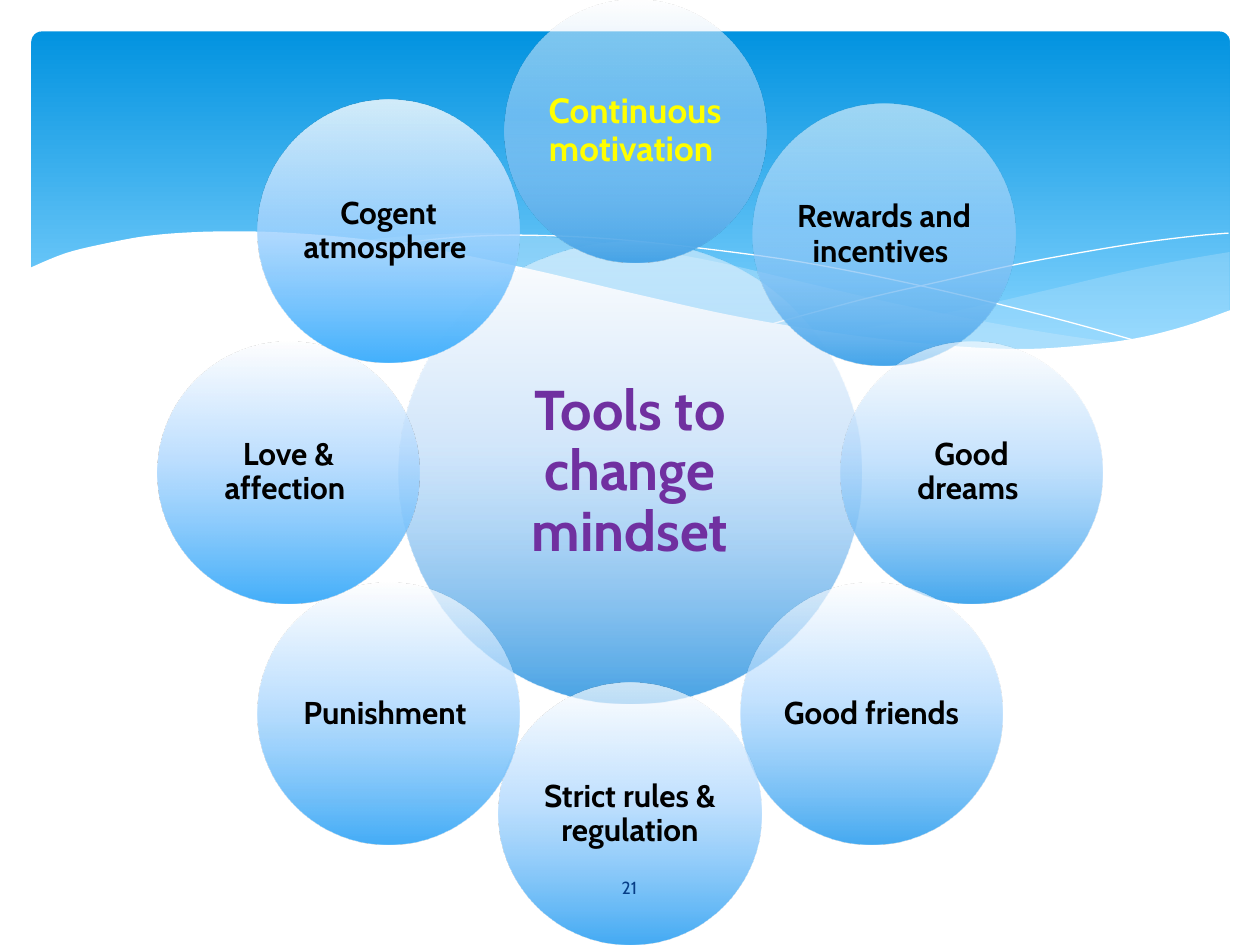
from dataclasses import dataclass
from math import cos, radians, sin

from lxml import etree
from pptx import Presentation
from pptx import util as u
from pptx.dml.color import RGBColor
from pptx.enum import shapes, text
from pptx.oxml.ns import qn


@dataclass(frozen=True)
class Theme:
    font: str = "Cabin"
    white: str = "FFFFFF"
    black: str = "000000"
    yellow: str = "FFFF00"
    purple: str = "7030A0"
    navy: str = "073E87"
    mist: str = "C6E7FC"
    sky_top: str = "0293E0"
    sky_bottom: str = "83D3FE"
    hub_size: int = 32
    lead_size: int = 20
    bubble_size: int = 18
    number_size: int = 10


THEME = Theme()

# Ring geometry, in inches
CENTRE = (5, 3.75)
RING_RADIUS = 2.71
HUB_DIAMETER, BUBBLE_DIAMETER = 3.67, 2.08

# Clockwise from the top: wording, middle colour, end colour, opacity
BUBBLES = [
    ("Continuous motivation ", "A6D0F9", "46A4E7", 54),
    ("Rewards and incentives ", "A6D1FB", "46A6EB", 57),
    ("Good dreams ", "A6D3FD", "45A8EE", 61),
    ("Good friends ", "A6D4FF", "45AAF1", 65),
    ("Strict rules & regulation", "A8D5FF", "44ABF4", 69),
    ("Punishment ", "A9D6FF", "44ADF7", 72),
    ("Love & affection ", "ABD6FF", "43AFFA", 76),
    ("Cogent atmosphere ", "ADD7FF", "43B1FD", 80),
]
NUDGES = {0: (0.04, 0), 1: (0.1, 0.03)}  # bubbles set slightly off the ring

# Banner waves: each edge is a smooth curve through its points
RIGHT_WAVE = [
    [(9.76, 2), (9.35, 2.07), (8.91, 2.16), (8.32, 2.3), (7.53, 2.48), (6.61, 2.65)],
    [(6.61, 2.65), (7.05, 2.71), (7.57, 2.76), (8.03, 2.78), (8.44, 2.77),
     (8.89, 2.72), (9.35, 2.62), (9.76, 2.47)],
]
MIDDLE_WAVE = [
    [(8.93, 2.73), (8.37, 2.65), (7.75, 2.54), (7.06, 2.4), (6.29, 2.22), (5.69, 2.08),
     (5.14, 1.98), (4.65, 1.91), (4.2, 1.87), (3.8, 1.85), (3.28, 1.87), (2.86, 1.91)],
    [(2.86, 1.91), (3.42, 1.99), (4.04, 2.11), (4.49, 2.22), (5.3, 2.4), (6.01, 2.55),
     (6.65, 2.66), (7.22, 2.74), (7.73, 2.77), (8.18, 2.78), (8.57, 2.77), (8.93, 2.73)],
]
FALLING_LINE = [
    [(3.09, 1.95), (3.44, 1.9), (3.87, 1.87), (4.33, 1.87), (4.89, 1.9), (5.56, 1.97),
     (6.36, 2.08), (7.27, 2.26), (8.31, 2.51), (9.07, 2.72)],
]
RISING_LINE = [
    [(6.13, 2.57), (6.53, 2.46), (6.95, 2.35), (7.48, 2.23), (8.06, 2.1), (8.66, 1.99),
     (9.1, 1.92), (9.51, 1.87), (9.75, 1.85)],
]
WHITE_WAVE = [
    [(9.77, 2.46), (9.4, 2.59), (8.99, 2.69), (8.5, 2.75), (8.09, 2.77), (7.61, 2.75),
     (7.08, 2.7), (6.48, 2.62), (5.79, 2.5), (5.03, 2.33), (4.18, 2.13), (3.4, 1.97),
     (2.71, 1.88), (2.11, 1.84), (1.61, 1.84), (1.19, 1.87), (0.85, 1.93),
     (0.52, 2.01), (0.23, 2.13)],
    [(0.23, 3.29), (9.77, 3.29)],
]


def smooth(points, steps=5):
    """Return a Catmull-Rom curve through the points."""
    padded = [points[0], *points, points[-1]]
    curve = [points[0]]
    for a, b, c, d in zip(padded, padded[1:], padded[2:], padded[3:]):
        for step in range(1, steps + 1):
            t = step / steps
            curve.append(tuple(
                (2 * q + (r - p) * t + (2 * p - 5 * q + 4 * r - s) * t**2
                 + (3 * q - p - 3 * r + s) * t**3) / 2
                for p, q, r, s in zip(a, b, c, d)))
    return curve


def set_opacity(colour, percent):
    etree.SubElement(colour, qn("a:alpha"), val=str(percent * 1000))


class SlideBuilder:
    def __init__(self, slide, theme):
        self.slide, self.theme = slide, theme

    def gradient(self, shape, stops):
        """Fill from top to bottom with (position, colour, opacity) stops."""
        shape.fill.gradient()
        shape.fill.gradient_angle = 270
        stop_list = next(shape.element.spPr.iter(qn("a:gsLst")))
        for stop in list(stop_list):
            stop_list.remove(stop)
        for position, colour, opacity in stops:
            stop = etree.SubElement(stop_list, qn("a:gs"), pos=str(position * 1000))
            value = etree.SubElement(stop, qn("a:srgbClr"), val=colour)
            if opacity < 100:
                set_opacity(value, opacity)

    def preset(self, kind, left, top, width, height, stops):
        shape = self.slide.shapes.add_shape(
            kind, *(u.Inches(value) for value in (left, top, width, height)))
        shape.shadow.inherit = False
        shape.line.fill.background()
        self.gradient(shape, stops)
        return shape

    def wave(self, edges, fill=None, opacity=100):
        """Draw a filled wave, or a white hairline when there is no fill."""
        points = [(u.Inches(x), u.Inches(y)) for edge in edges for x, y in smooth(edge)]
        outline = self.slide.shapes.build_freeform(*points[0])
        outline.add_line_segments(points[1:], close=fill is not None)
        shape = outline.convert_to_shape()
        shape.shadow.inherit = False
        if fill is None:
            shape.fill.background()
            shape.line.color.rgb = RGBColor.from_string(self.theme.white)
            shape.line.width = u.Pt(0)
            return
        shape.line.fill.background()
        shape.fill.solid()
        shape.fill.fore_color.rgb = RGBColor.from_string(fill)
        if opacity < 100:
            set_opacity(next(shape.element.spPr.iter(qn("a:srgbClr"))), opacity)

    def set_text(self, shape, words, size, colour, bold=True, spacing=0.9, inset=None):
        frame = shape.text_frame
        layout = {"word_wrap": True, "vertical_anchor": text.MSO_ANCHOR.MIDDLE}
        if inset is not None:
            sides = ("left", "top", "right", "bottom")
            layout.update({f"margin_{side}": u.Inches(inset) for side in sides})
        para = frame.paragraphs[0]
        span = para.add_run()
        span.text = words
        span.font.color.rgb = RGBColor.from_string(colour)
        formats = [
            (frame, layout),
            (para, {"alignment": text.PP_ALIGN.CENTER, "line_spacing": spacing}),
            (span.font, {"name": self.theme.font, "size": u.Pt(size), "bold": bold}),
        ]
        for target, values in formats:
            for name, value in values.items():
                setattr(target, name, value)

    def bubble(self, x, y, diameter, words, size, colour, middle, end, opacity, inset=0.03):
        stops = [(0, self.theme.white, opacity), (44, middle, opacity), (100, end, 100)]
        circle = self.preset(shapes.MSO_SHAPE.OVAL, x - diameter / 2, y - diameter / 2,
                             diameter, diameter, stops)
        self.set_text(circle, words, size, colour, inset=inset)

    def page_number(self, number):
        box = self.slide.shapes.add_textbox(
            u.Inches(4.36), u.Inches(6.84), u.Inches(1.27), u.Inches(0.4))
        self.set_text(box, number, self.theme.number_size, self.theme.navy,
                      bold=False, spacing=1.0)


def main():
    deck = Presentation()
    deck.slide_width, deck.slide_height = u.Inches(10), u.Inches(7.5)
    page = SlideBuilder(deck.slides.add_slide(deck.slide_layouts[6]), THEME)

    # Banner with waves
    banner = page.preset(shapes.MSO_SHAPE.ROUNDED_RECTANGLE, 0.25, 0.25, 9.51, 2.7,
                         [(0, THEME.sky_top, 100), (90, THEME.sky_bottom, 100)])
    banner.adjustments[0] = 0.03
    page.wave(RIGHT_WAVE, THEME.mist, 29)
    page.wave(MIDDLE_WAVE, THEME.mist, 40)
    page.wave(FALLING_LINE)
    page.wave(RISING_LINE)
    page.wave(WHITE_WAVE, THEME.white)

    # Hub and its ring of bubbles
    page.bubble(*CENTRE, HUB_DIAMETER, "Tools to change mindset", THEME.hub_size,
                THEME.purple, "A7CFF7", "47A2E4", 50, inset=0.04)
    for index, (words, *shading) in enumerate(BUBBLES):
        angle = radians(index * 360 / len(BUBBLES) - 90)
        shift_x, shift_y = NUDGES.get(index, (0, 0))
        x = CENTRE[0] + RING_RADIUS * cos(angle) + shift_x
        y = CENTRE[1] + RING_RADIUS * sin(angle) + shift_y
        size, colour = ((THEME.lead_size, THEME.yellow) if index == 0
                        else (THEME.bubble_size, THEME.black))
        page.bubble(x, y, BUBBLE_DIAMETER, words, size, colour, *shading)

    page.page_number("21")
    deck.save("out.pptx")


if __name__ == "__main__":
    main()
